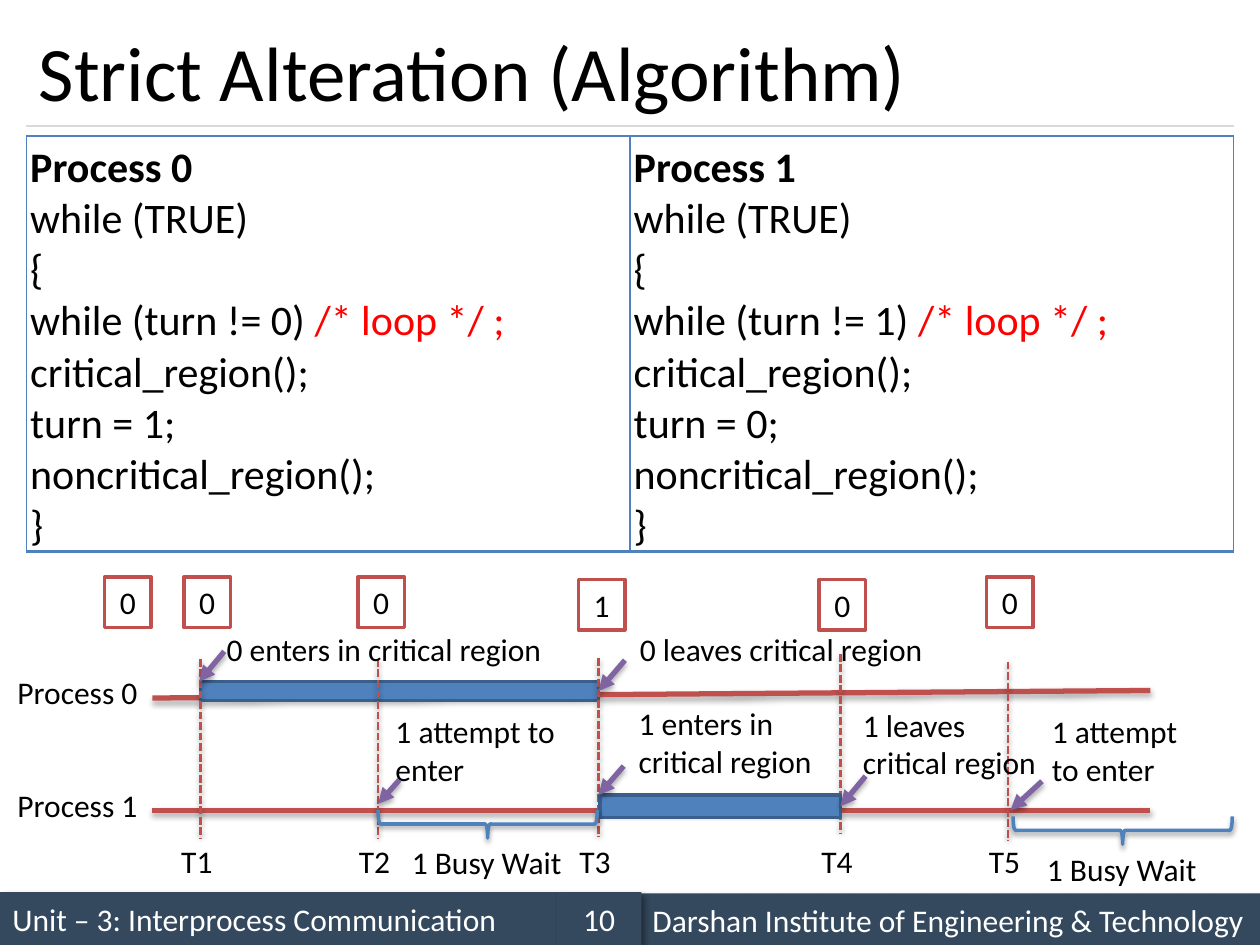
from pptx import Presentation
from pptx.dml.color import RGBColor
from pptx.enum.dml import MSO_LINE
from pptx.enum.shapes import MSO_CONNECTOR, MSO_SHAPE
from pptx.enum.text import MSO_ANCHOR, PP_ALIGN
from pptx.oxml import parse_xml
from pptx.util import Inches, Pt

HUE = {name: RGBColor.from_string(code) for name, code in {
    "bar": "34495E", "rule": "D9D9D9", "blue": "4F81BD", "edge": "3A5F8C",
    "red": "C0504D", "plum": "8064A2", "note": "FF0000",
    "black": "000000", "white": "FFFFFF"}.items()}
NS = 'xmlns:a="http://schemas.openxmlformats.org/drawingml/2006/main"'

deck = Presentation()
deck.slide_width, deck.slide_height = Inches(10), Inches(7.5)
U = deck.slide_width // 100  # grid of 100 columns and 75 rows
slide = deck.slides.add_slide(deck.slide_layouts[6])
shapes = slide.shapes


def box(x, y, w, h, text="", fill=None, line=None, ink="black", size=18,
        align=PP_ALIGN.LEFT, anchor=MSO_ANCHOR.TOP):
    area = [round(v * U) for v in (x, y, w, h)]
    if fill:
        item = shapes.add_shape(MSO_SHAPE.RECTANGLE, *area)
        item.shadow.inherit = False
        item.fill.solid()
        item.fill.fore_color.rgb = HUE[fill]
        if line:
            item.line.color.rgb = HUE[line]
            item.line.width = Pt(2)
        else:
            item.line.fill.background()
    else:
        item = shapes.add_textbox(*area)
    if text:
        frame = item.text_frame
        frame.word_wrap = True
        frame.vertical_anchor = anchor
        par = frame.paragraphs[0]
        par.text = text
        par.alignment = align
        par.font.name, par.font.size = "Calibri", Pt(size)
        par.font.color.rgb = HUE[ink]
    return item


def rule(x1, y1, x2, y2, hue, width, shade=True):
    item = shapes.add_connector(
        MSO_CONNECTOR.STRAIGHT, *[round(v * U) for v in (x1, y1, x2, y2)])
    item.line.color.rgb = HUE[hue]
    item.line.width = Pt(width)
    glow = ('<a:outerShdw blurRad="39370" dist="22860" dir="5400000" rotWithShape="0">'
            '<a:srgbClr val="000000"><a:alpha val="35000"/></a:srgbClr>'
            '</a:outerShdw>') if shade else ""
    item._element.spPr.append(parse_xml(f"<a:effectLst {NS}>{glow}</a:effectLst>"))
    return item


# Footer
for x, y, w, text, align in [
        (0, 70.8, 44.2, "Unit – 3: Interprocess Communication", PP_ALIGN.LEFT),
        (50.8, 70.9, 49.2, "Darshan Institute of Engineering & Technology", PP_ALIGN.LEFT),
        (44.2, 70.8, 6.7, "10", PP_ALIGN.CENTER)]:
    foot = box(x, y, w, 4.2, text, "bar", None, "white", 18, align, MSO_ANCHOR.MIDDLE)
    foot._element.spPr[-1].append(parse_xml(
        f'<a:outerShdw {NS} blurRad="50800" dist="38100" dir="2700000" algn="tl" '
        'rotWithShape="0"><a:srgbClr val="000000"><a:alpha val="40000"/>'
        '</a:srgbClr></a:outerShdw>'))

# Title
rule(2.1, 10, 97.9, 10, "rule", 0.75, False)
box(2.1, 1.2, 95.8, 8.8, "Strict Alteration (Algorithm)", size=44,
    anchor=MSO_ANCHOR.MIDDLE)

# Code of the two processes
table = shapes.add_table(1, 2, *[round(v * U) for v in (2.1, 10.8, 95.8, 33)]).table
table.first_row = table.horz_banding = False
for n in range(2):
    cell = table.cell(0, n)
    cell.margin_left = cell.margin_right = Inches(0.03)
    cell.margin_top = cell.margin_bottom = Inches(0.05)
    code = ["Process %d" % n, "while (TRUE)", "{", "while (turn != %d) " % n,
            "critical_region();", "turn = %d;" % (1 - n),
            "noncritical_region();", "}"]
    cell.text = "\n".join(code)
    for row, par in enumerate(cell.text_frame.paragraphs):
        par.font.name, par.font.size = "Calibri", Pt(24)
        par.font.bold = row == 0
        par.font.color.rgb = HUE["black"]
        if row == 3:
            run = par.add_run()
            run.text = "/* loop */ ;"
            run.font.color.rgb = HUE["note"]
    for side, width in zip("LRTB", (1, 1, 1, 2)):
        cell._tc.get_or_add_tcPr().append(parse_xml(
            f'<a:ln{side} {NS} w="{Pt(width)}"><a:solidFill>'
            f'<a:srgbClr val="{HUE["blue"]}"/></a:solidFill></a:ln{side}>'))
    cell.fill.background()

# Time axes, marks and spans in the critical region
rule(12.1, 55.4, 91.3, 54.8, "red", 3)
rule(12.1, 64.3, 91.3, 64.3, "red", 3)
span0 = box(15.9, 54.1, 31.6, 1.5, fill="blue", line="edge")
marks = [(15.9, 52.3), (30, 52.3), (47.5, 52.2), (66.7, 51.9), (80, 52.5)]
for n, (x, y) in enumerate(marks, 1):
    dash = rule(x, y, x, y + 14.2, "red", 1.5)
    dash.line.dash_style = MSO_LINE.SQUARE_DOT
    box(x - 2.5, 66.35, 5, 4, f"T{n}")
span1 = box(47.6, 63.1, 19.1, 1.8, fill="blue", line="edge")

# Values of turn
for x, y, turn in [(8.3, 45.8, 0), (14.6, 45.8, 0), (28.4, 45.8, 0),
                   (45.9, 46, 1), (65, 46, 0), (78.3, 45.8, 0)]:
    box(x, y, 3.7, 4, str(turn), "white", "red", align=PP_ALIGN.CENTER)

# Labels
for x, y, w, h, text in [
        (0.4, 52.9, 12.1, 4.1, "Process 0"),
        (0.4, 61.9, 12.1, 4.1, "Process 1"),
        (17, 49.5, 27.7, 4, "0 enters in critical region"),
        (49.8, 49.5, 25.2, 4, "0 leaves critical region"),
        (30.4, 56, 15.9, 7.1, "1 attempt to enter"),
        (49.7, 55.4, 15.8, 7.1, "1 enters in critical region"),
        (67.5, 55.5, 16.1, 7.1, "1 leaves critical region"),
        (82.5, 56, 12.9, 7.1, "1 attempt to enter"),
        (31.7, 66.4, 14.1, 4, "1 Busy Wait"),
        (82.1, 67, 14.1, 4, "1 Busy Wait")]:
    box(x, y, w, h, text)

# Event arrows
for x1, y1, x2, y2, goal in [
        (17.8, 51.7, 15.8, 54.1, None), (31.7, 61.9, 30, 63.8, None),
        (49.6, 52.4, 47.6, 54.8, span0), (49.5, 60.8, 47.5, 63.1, None),
        (68.7, 61.6, 66.7, 64, span1), (82.7, 62, 80.2, 64.3, None)]:
    arrow = rule(x1, y1, x2, y2, "plum", 3)
    if goal:
        arrow.end_connect(goal, 3)
    arrow.line._get_or_add_ln().append(parse_xml(f'<a:tailEnd {NS} type="triangle"/>'))

# Busy wait braces
for x, y in [(37.6, 56.7), (88, 57.2)]:
    brace = shapes.add_shape(MSO_SHAPE.RIGHT_BRACE,
                             *[round(v * U) for v in (x, y, 2.2, 17.4)])
    brace.rotation = 90
    brace.fill.background()
    brace.line.color.rgb = HUE["blue"]
    brace.line.width = Pt(2)
    brace.shadow.inherit = False
    brace._element.spPr[-1].append(parse_xml(
        f'<a:outerShdw {NS} blurRad="39370" dist="20320" dir="5400000" '
        'rotWithShape="0"><a:srgbClr val="000000"><a:alpha val="38000"/>'
        '</a:srgbClr></a:outerShdw>'))

deck.save("out.pptx")
